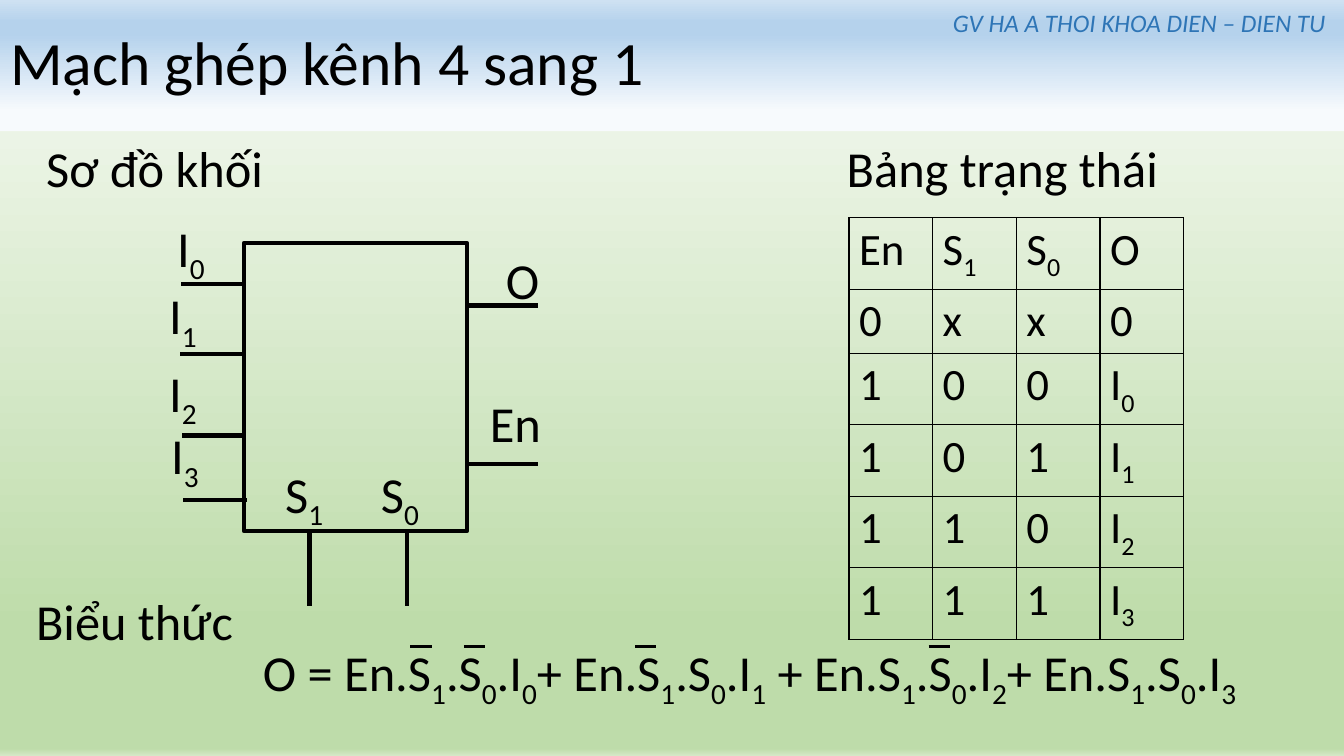
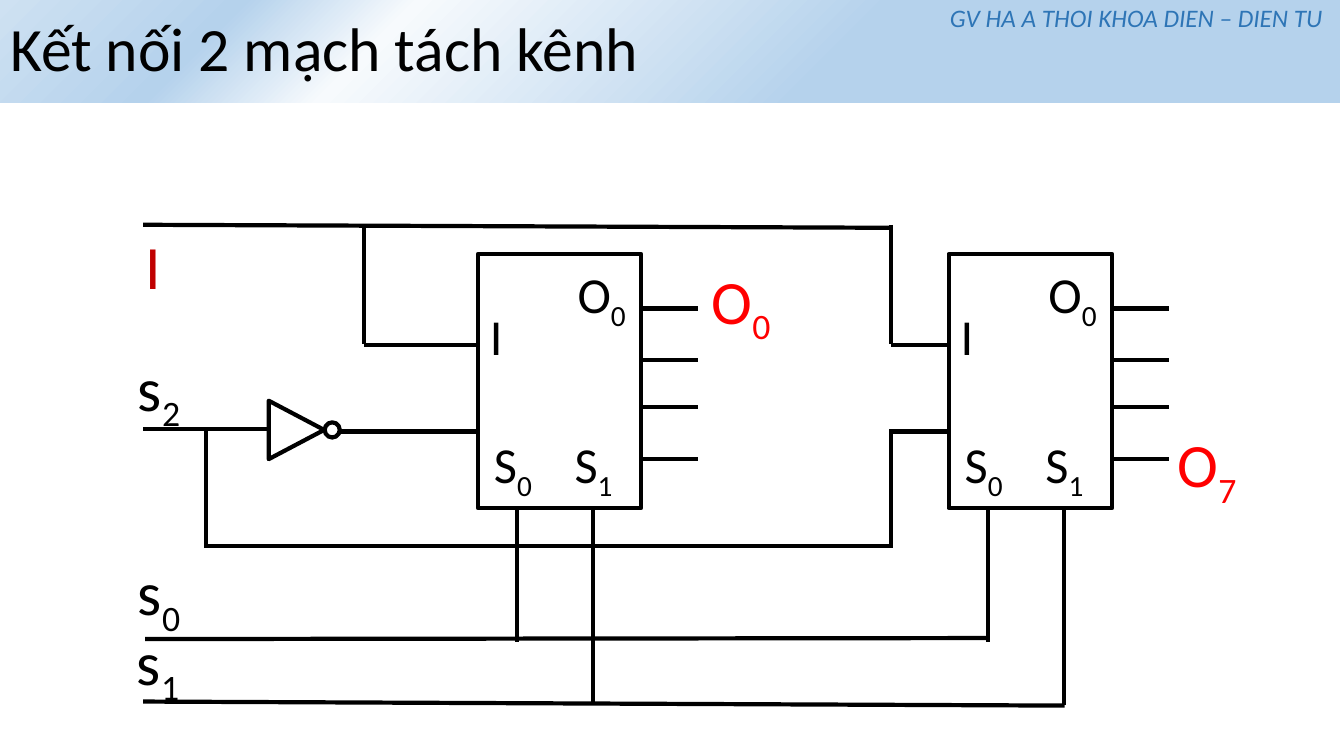
import pptx
import pptx.dml.color
import pptx.enum.shapes
import pptx.enum.text
import pptx.oxml.ns
import pptx.util
from lxml import etree

PX = 9144  # EMU per px, 100 px to the inch
FONT = "Calibri"
COLORS = {"ink": "000000", "credit": "2E75B6", "output": "FF0000", "input": "C00000"}
CREDIT = "GV HA A THOI KHOA DIEN – DIEN TU"

# Gradients: angle (counter-clockwise), then (position in percent, colour)
BACKGROUND = (270, [(0, "F8FBF6"), (83, "BEDCAA"), (99, "BEDCAA"), (100, "D4E8C6")])
VERTICAL_BAND = (90, [(15, "F7FAFD"), (74, "B5D2EC"), (83, "B5D2EC"), (100, "CEE1F2")])
DIAGONAL_BAND = (135, [(38, "B5D2EC"), (71, "F7FAFD"), (83, "B5D2EC"), (100, "CEE1F2")])

# Slide 1: labels (text, left, top, width); "_" puts the next character in subscript
MUX_LABELS = [
    ("Sơ đồ khối", 36, 131, 260), ("Bảng trạng thái", 830, 131, 360),
    ("Biểu thức", 26, 580, 240),
    ("O = En.S_1.S_0.I_0+ En.S_1.S_0.I_1 + En.S_1.S_0.I_2+ En.S_1.S_0.I_3", 251, 631, 1060),
    ("I_0", 166, 210, 74), ("I_1", 158, 277, 70), ("I_2", 158, 354, 70),
    ("I_3", 160, 416, 84), ("O", 492, 242, 96), ("En", 476, 384, 96),
    ("S_1", 273, 454, 101), ("S_0", 368, 454, 101),
]
MUX_BOX = (242, 241, 221, 286)
MUX_WIRES = [
    (180, 282, 243, 282), (179, 351, 242, 351), (181, 432, 244, 432), (182, 496, 245, 496),
    (463, 303, 534, 303), (463, 460, 534, 460),
    (307, 527, 307, 601), (404, 527, 404, 601),
]
BAR_LEFTS, BAR_TOP, BAR_WIDTH = (407, 460, 630, 921), 641, 21
STATES = [
    ("En", "S_1", "S_0", "O"),
    ("0", "x", "x", "0"),
    ("1", "0", "0", "I_0"),
    ("1", "0", "1", "I_1"),
    ("1", "1", "0", "I_2"),
    ("1", "1", "1", "I_3"),
]
STATE_LEFT, STATE_TOP, STATE_COLUMN = 842, 216, 83
STATE_ROWS = (71, 63, 71, 71, 71, 71)

# Slide 2: two equal demultiplexers and the wires that join them
DEMUX_LEFTS, DEMUX_TOP, DEMUX_SIZE = (474, 941), 252, (162, 252)
DEMUX_LABELS = [("I", 2, 298), ("O_0", 89, 256), ("S_0", 6, 425), ("S_1", 86, 425)]
DEMUX_OUTPUTS, OUTPUT_LENGTH = (306, 357, 404, 455), 56
DEMUX_SELECTS = [(39, 637), (114, 699)]  # offset from the box, end of the wire
SIGNALS = [
    ("I", 134, 221, "input"), ("s_2", 127, 342, "ink"), ("s_0", 127, 545, "ink"),
    ("s_1", 126, 614, "ink"), ("O_0", 696, 256, "output"), ("O_7", 1158, 418, "output"),
]
DEMUX_WIRES = [
    (142, 223, 884, 226), (361, 223, 361, 341), (361, 342, 474, 342),
    (884, 223, 884, 341), (884, 342, 941, 342),
    (142, 426, 266, 426), (337, 428, 474, 428), (204, 426, 204, 544),
    (204, 542, 884, 542), (884, 426, 884, 544), (884, 428, 941, 428),
    (144, 634, 980, 633), (142, 696, 1056, 700),
]


def px(*lengths):
    return [pptx.util.Emu(length * PX) for length in lengths]


def color(name):
    return pptx.dml.color.RGBColor.from_string(COLORS[name])


def fill_gradient(fill, element, gradient):
    angle, stops = gradient
    fill.gradient()
    fill.gradient_angle = angle
    qn = pptx.oxml.ns.qn
    stop_list = next(element.iter(qn("a:gsLst")))
    for stop in list(stop_list):
        stop_list.remove(stop)
    for position, value in stops:
        stop = etree.SubElement(stop_list, qn("a:gs"), pos=str(position * 1000))
        etree.SubElement(stop, qn("a:srgbClr"), val=value)


def write(frame, text, size, ink="ink", italic=False, align="LEFT"):
    paragraph = frame.paragraphs[0]
    paragraph.alignment = getattr(pptx.enum.text.PP_ALIGN, align)
    font = paragraph.font
    font.name, font.size, font.italic = FONT, pptx.util.Pt(size), italic
    font.color.rgb = color(ink)
    plain, *marked = text.split("_")
    paragraph.add_run().text = plain
    for part in marked:
        subscript = paragraph.add_run()
        subscript.text = part[0]
        subscript.font._element.set("baseline", "-25000")
        if part[1:]:
            paragraph.add_run().text = part[1:]
    return paragraph


def add_label(slide, text, left, top, width, size=36, **style):
    frame = slide.shapes.add_textbox(*px(left, top, width, size * 2)).text_frame
    frame.word_wrap = True
    write(frame, text, size, **style)


def add_wire(slide, ends, width=3):
    straight = pptx.enum.shapes.MSO_CONNECTOR.STRAIGHT
    wire = slide.shapes.add_connector(straight, *px(*ends))
    wire.line.color.rgb = color("ink")
    wire.line.width = pptx.util.Pt(width)
    etree.SubElement(wire._element.spPr, pptx.oxml.ns.qn("a:effectLst"))


def add_outline(slide, kind, box):
    preset = getattr(pptx.enum.shapes.MSO_SHAPE, kind)
    shape = slide.shapes.add_shape(preset, *px(*box))
    shape.shadow.inherit = False
    shape.fill.background()
    shape.line.color.rgb = color("ink")
    shape.line.width = pptx.util.Pt(3)
    return shape


def add_slide(presentation, title_text, band_size, gradient, credit_place):
    slide = presentation.slides.add_slide(presentation.slide_layouts[5])
    title = slide.shapes.title
    title.left, title.top, title.width, title.height = px(0, 0, *band_size)
    fill_gradient(title.fill, title._element, gradient)
    frame = title.text_frame
    frame.auto_size = pptx.enum.text.MSO_AUTO_SIZE.NONE
    frame.vertical_anchor = pptx.enum.text.MSO_ANCHOR.MIDDLE
    write(frame, title_text, 44).line_spacing = 0.9
    add_label(slide, CREDIT, *credit_place, 402, size=18,
              ink="credit", italic=True, align="CENTER")
    return slide


def add_borders(cell):
    qn = pptx.oxml.ns.qn
    properties = cell._tc.get_or_add_tcPr()
    for index, side in enumerate(("a:lnL", "a:lnR", "a:lnT", "a:lnB")):
        border = etree.Element(qn(side), w="12700")
        solid = etree.SubElement(border, qn("a:solidFill"))
        etree.SubElement(solid, qn("a:srgbClr"), val=COLORS["ink"])
        properties.insert(index, border)


def add_state_table(slide):
    columns = len(STATES[0])
    table = slide.shapes.add_table(
        len(STATES), columns,
        *px(STATE_LEFT, STATE_TOP, STATE_COLUMN * columns, sum(STATE_ROWS))).table
    table.first_row = table.horz_banding = False
    for row, height, values in zip(table.rows, STATE_ROWS, STATES):
        row.height = px(height)[0]
        for cell, value in zip(row.cells, values):
            cell.fill.background()
            add_borders(cell)
            write(cell.text_frame, value, 32)


def build_multiplexer(presentation):
    slide = add_slide(presentation, "Mạch ghép kênh 4 sang 1", (1333, 130),
                      VERTICAL_BAND, (929, 2))
    fill_gradient(slide.background.fill, slide._element, BACKGROUND)
    # Block diagram
    add_outline(slide, "RECTANGLE", MUX_BOX)
    for ends in MUX_WIRES:
        add_wire(slide, ends)
    for label in MUX_LABELS:
        add_label(slide, *label)
    # Negation bars over the expression
    for left in BAR_LEFTS:
        add_wire(slide, (left, BAR_TOP, left + BAR_WIDTH, BAR_TOP), 2.25)
    add_state_table(slide)


def add_demultiplexer(slide, left):
    width, height = DEMUX_SIZE
    right, bottom = left + width, DEMUX_TOP + height
    add_outline(slide, "RECTANGLE", (left, DEMUX_TOP, width, height))
    for text, offset, top in DEMUX_LABELS:
        add_label(slide, text, left + offset, top, 90)
    for y in DEMUX_OUTPUTS:
        add_wire(slide, (right, y, right + OUTPUT_LENGTH, y))
    for offset, end in DEMUX_SELECTS:
        add_wire(slide, (left + offset, bottom, left + offset, end))


def build_demultiplexers(presentation):
    slide = add_slide(presentation, "Kết nối 2 mạch tách kênh", (1329, 102),
                      DIAGONAL_BAND, (926, -3))
    for ends in DEMUX_WIRES:
        add_wire(slide, ends)
    # Inverter
    add_outline(slide, "ISOSCELES_TRIANGLE", (265, 399, 58, 55)).rotation = 90
    add_outline(slide, "OVAL", (322, 419, 15, 15))
    for left in DEMUX_LEFTS:
        add_demultiplexer(slide, left)
    for text, left, top, ink in SIGNALS:
        add_label(slide, text, left, top, 90, size=44, ink=ink)


def main():
    presentation = pptx.Presentation()
    presentation.slide_width, presentation.slide_height = px(1333, 750)
    build_multiplexer(presentation)
    build_demultiplexers(presentation)
    presentation.save("out.pptx")


if __name__ == "__main__":
    main()
